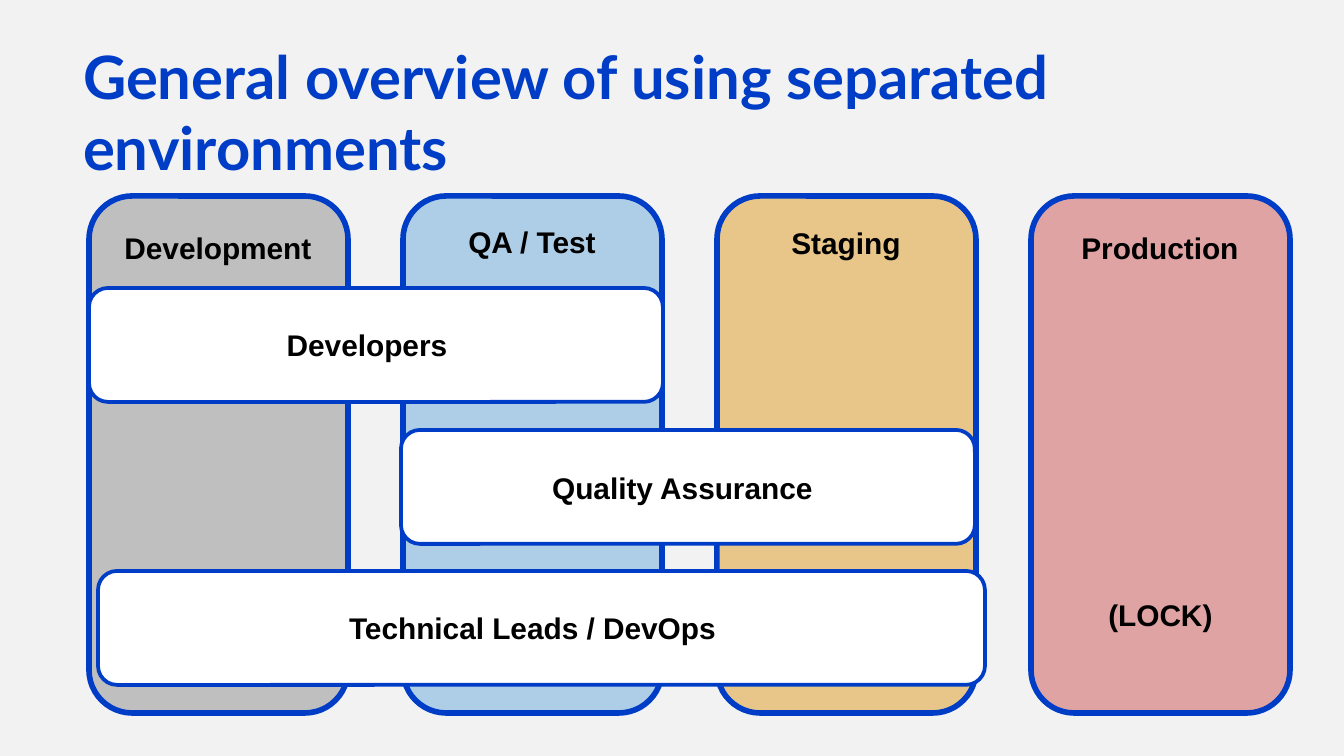
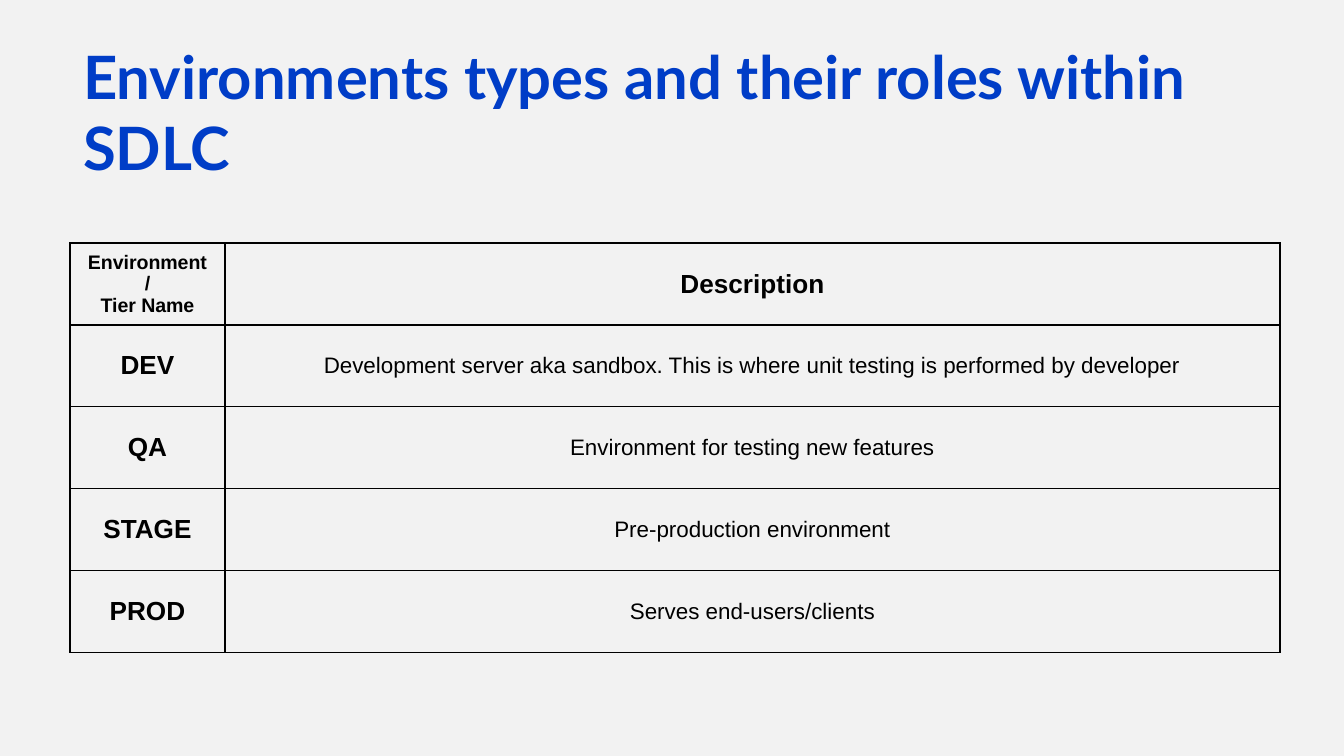
from dataclasses import dataclass

from lxml.etree import SubElement
from pptx import Presentation
from pptx.dml.color import RGBColor
from pptx.enum.shapes import MSO_SHAPE
from pptx.enum.text import MSO_ANCHOR, MSO_AUTO_SIZE, PP_ALIGN
from pptx.oxml.ns import qn
from pptx.slide import Slide
from pptx.table import _Cell
from pptx.text.text import TextFrame
from pptx.util import Emu, Pt

# Shared look
COLORS = {
    "background": "F2F2F2",
    "accent": "003DC7",
    "text": "000000",
    "white": "FFFFFF",
    "gray": "BFBFBF",
    "blue": "AECDE6",
    "sand": "E8C588",
    "rose": "E0A3A3",
}
TITLE_FONT = "Lato"
BODY_FONT = "Arial"
PIXELS_PER_INCH = 134.4
TITLE_ONLY_LAYOUT = 5


@dataclass(frozen=True)
class Box:
    left: int
    top: int
    width: int
    height: int

    def emu(self) -> tuple[Emu, Emu, Emu, Emu]:
        return px(self.left), px(self.top), px(self.width), px(self.height)


@dataclass(frozen=True)
class Environment:
    name: str
    color: str
    label_top: int


@dataclass(frozen=True)
class Team:
    name: str
    bar: Box
    label: Box


def px(pixels: float) -> Emu:
    return Emu(round(pixels * 914400 / PIXELS_PER_INCH))


def rgb(name: str) -> RGBColor:
    return RGBColor.from_string(COLORS[name])


def write_text(frame: TextFrame, text: str, *, size: float, font: str = BODY_FONT,
               color: str = "text", bold: bool = True,
               align: PP_ALIGN = PP_ALIGN.CENTER) -> None:
    """Fill a text frame, one paragraph for each line of the text."""
    frame.text = text
    for paragraph in frame.paragraphs:
        paragraph.alignment = align
        for run in paragraph.runs:
            run.font.name = font
            run.font.size = Pt(size)
            run.font.bold = bold
            run.font.color.rgb = rgb(color)


def add_titled_slide(title: str) -> Slide:
    slide = presentation.slides.add_slide(presentation.slide_layouts[TITLE_ONLY_LAYOUT])
    shape = slide.shapes.title
    shape.left, shape.top, shape.width, shape.height = TITLE_BOX.emu()
    frame = shape.text_frame
    frame.word_wrap = True
    frame.auto_size = MSO_AUTO_SIZE.NONE
    frame.vertical_anchor = MSO_ANCHOR.BOTTOM
    frame.margin_left = frame.margin_right = px(13)
    frame.margin_top = frame.margin_bottom = px(13)
    write_text(frame, title, size=32, font=TITLE_FONT, color="accent", align=PP_ALIGN.LEFT)
    return slide


def add_rounded_box(slide: Slide, box: Box, fill: str, line_width: float) -> None:
    shape = slide.shapes.add_shape(MSO_SHAPE.ROUNDED_RECTANGLE, *box.emu())
    shape.shadow.inherit = False
    shape.fill.solid()
    shape.fill.fore_color.rgb = rgb(fill)
    shape.line.color.rgb = rgb("accent")
    shape.line.width = Pt(line_width)


def add_label(slide: Slide, box: Box, text: str) -> None:
    frame = slide.shapes.add_textbox(*box.emu()).text_frame
    frame.word_wrap = True
    frame.auto_size = MSO_AUTO_SIZE.SHAPE_TO_FIT_TEXT
    write_text(frame, text, size=16)


def set_borders(cell: _Cell, width: float) -> None:
    """Draw all four cell borders; they come before the fill in the XML."""
    properties = cell._tc.get_or_add_tcPr()
    for index, side in enumerate(("lnL", "lnR", "lnT", "lnB")):
        line = SubElement(properties, qn(f"a:{side}"), w=str(Pt(width)))
        fill = SubElement(line, qn("a:solidFill"))
        SubElement(fill, qn("a:srgbClr"), val=COLORS["text"])
        properties.insert(index, line)


def fill_cell(cell: _Cell, text: str, size: float, bold: bool) -> None:
    cell.fill.solid()
    cell.fill.fore_color.rgb = rgb("background")
    cell.vertical_anchor = MSO_ANCHOR.MIDDLE
    write_text(cell.text_frame, text, size=size, bold=bold)
    set_borders(cell, 0.75)


# Presentation
TITLE_BOX = Box(70, 70, 1210, 126)
presentation = Presentation()
presentation.slide_width = px(1344)
presentation.slide_height = px(756)
background = presentation.slide_master.background.fill
background.solid()
background.fore_color.rgb = rgb("background")

# Slide 1: environments as columns, teams as bars across them
COLUMN = Box(89, 196, 259, 517)
COLUMN_PITCH = 314
LABEL_INDENT, LABEL_WIDTH, LABEL_HEIGHT = 15, 228, 50
BAR_HEIGHT = 114
ENVIRONMENTS = (
    Environment("Development", "gray", 223),
    Environment("QA / Test", "blue", 217),
    Environment("Staging", "sand", 218),
    Environment("Production", "rose", 223),
)
TEAMS = (
    Team("Developers", Box(89, 288, 574, BAR_HEIGHT), Box(253, 320, 228, LABEL_HEIGHT)),
    Team("Quality Assurance", Box(401, 430, 574, BAR_HEIGHT), Box(501, 463, 363, LABEL_HEIGHT)),
    Team("Technical Leads / DevOps", Box(98, 571, 887, BAR_HEIGHT), Box(333, 603, 399, LABEL_HEIGHT)),
)

overview = add_titled_slide("General overview of using separated environments")
column_lefts = [COLUMN.left + index * COLUMN_PITCH for index in range(len(ENVIRONMENTS))]
for left, environment in zip(column_lefts, ENVIRONMENTS):
    add_rounded_box(overview, Box(left, COLUMN.top, COLUMN.width, COLUMN.height),
                    environment.color, 3)
    add_label(overview, Box(left + LABEL_INDENT, environment.label_top, LABEL_WIDTH, LABEL_HEIGHT),
              environment.name)
for team in TEAMS:
    add_rounded_box(overview, team.bar, "white", 2)
    add_label(overview, team.label, team.name)
add_label(overview, Box(1077, 590, 167, LABEL_HEIGHT), "(LOCK)")

# Slide 2: table of environment roles
COLUMN_WIDTHS = (155, 1055)
ROW_HEIGHT = 82
ROLES = (
    ("Environment /\nTier Name", "Description"),
    ("DEV", "Development server aka sandbox. This is where unit testing is performed by developer"),
    ("QA", "Environment for testing new features"),
    ("STAGE", "Pre-production environment"),
    ("PROD", "Serves end-users/clients"),
)
HEADER_SIZES = (10.5, 14)
BODY_SIZES = (14, 12)

roles = add_titled_slide("Environments types and their roles within SDLC")
table_box = Box(70, 243, sum(COLUMN_WIDTHS), ROW_HEIGHT * len(ROLES))
table = roles.shapes.add_table(len(ROLES), len(COLUMN_WIDTHS), *table_box.emu()).table
table.first_row = False
table.horz_banding = False
for column, width in zip(table.columns, COLUMN_WIDTHS):
    column.width = px(width)
for row_index, texts in enumerate(ROLES):
    table.rows[row_index].height = px(ROW_HEIGHT)
    is_header = row_index == 0
    sizes = HEADER_SIZES if is_header else BODY_SIZES
    for column_index, (text, size) in enumerate(zip(texts, sizes)):
        fill_cell(table.cell(row_index, column_index), text, size,
                  bold=is_header or column_index == 0)

presentation.save("out.pptx")
